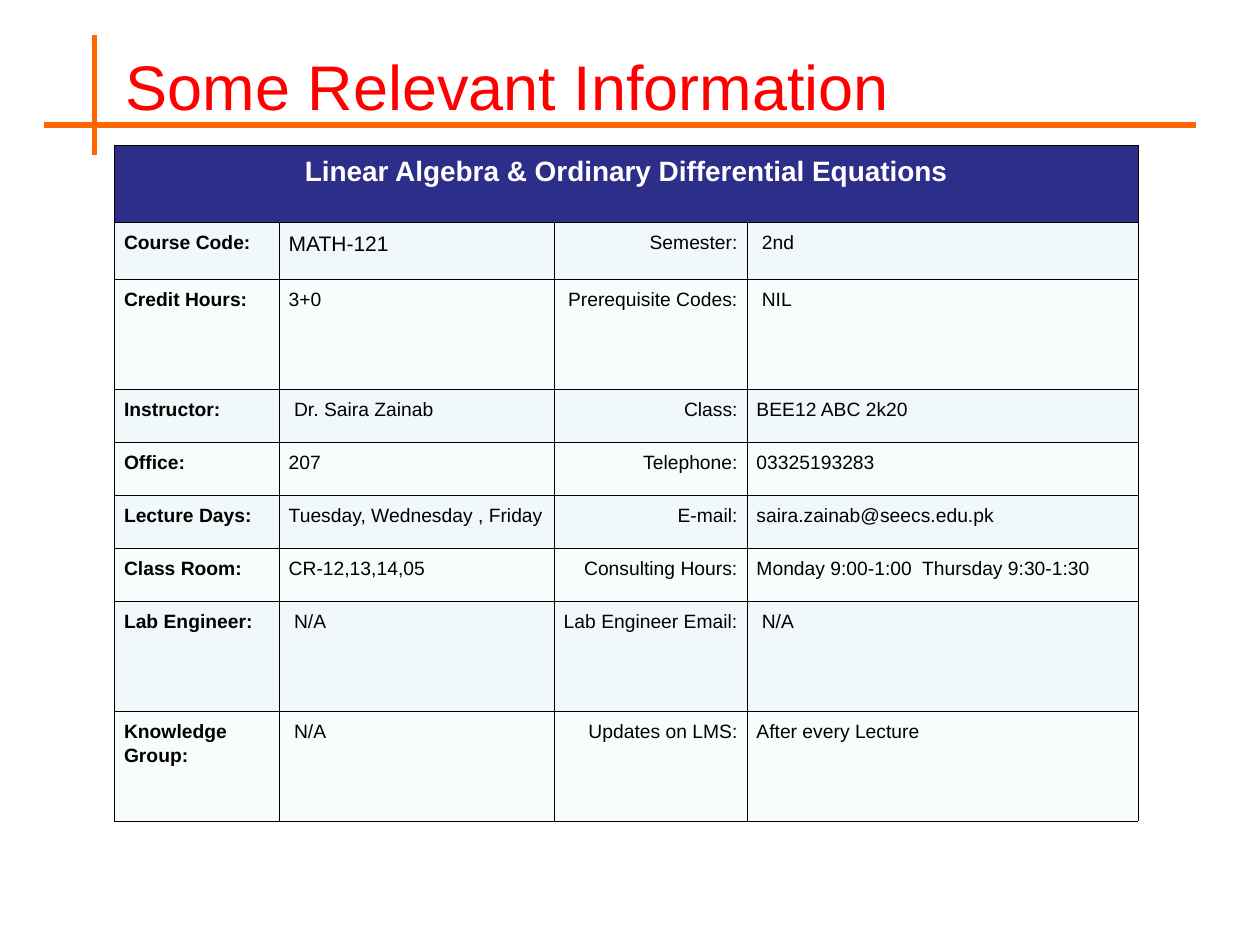
from pptx import Presentation
from pptx.dml.color import RGBColor
from pptx.enum.shapes import MSO_CONNECTOR
from pptx.enum.text import MSO_ANCHOR, PP_ALIGN
from pptx.oxml import parse_xml
from pptx.oxml.ns import nsdecls
from pptx.util import Cm, Pt

STRAIGHT = MSO_CONNECTOR.STRAIGHT
MIDDLE = MSO_ANCHOR.MIDDLE
LEFT, CENTER, RIGHT, JUSTIFY = PP_ALIGN.LEFT, PP_ALIGN.CENTER, PP_ALIGN.RIGHT, PP_ALIGN.JUSTIFY

COURSE = "Linear Algebra & Ordinary Differential Equations"
DETAILS = [
    ("Course Code:", "MATH-121", "Semester:", " 2nd"),
    ("Credit Hours:", "3+0", "Prerequisite Codes:", " NIL"),
    ("Instructor:", " Dr. Saira Zainab", "Class:", "BEE12 ABC 2k20"),
    ("Office:", "207", "Telephone:", "03325193283"),
    ("Lecture Days:", "Tuesday, Wednesday , Friday", "E-mail:", "saira.zainab@seecs.edu.pk"),
    ("Class Room:", "CR-12,13,14,05", "Consulting Hours:", "Monday 9:00-1:00  Thursday 9:30-1:30"),
    ("Lab Engineer:", " N/A", "Lab Engineer Email:", " N/A"),
    ("Knowledge Group:", " N/A", "Updates on LMS:", "After every Lecture"),
]
COL_WIDTHS = [3.32, 5.54, 3.89, 7.88]
ROW_HEIGHTS = [1.55, 1.16, 2.21, 1.07, 1.07, 1.07, 1.07, 2.21, 2.21]
COL_ALIGN = [LEFT, LEFT, RIGHT, LEFT]
BANDS = ["F1F8F9", "F8FCFC"]
CELL_MARGINS = {"margin_left": Cm(0.19), "margin_right": Cm(0.19),
                "margin_top": Cm(0.13), "margin_bottom": Cm(0.13)}


def rgb(value):
    """Return the colour for a hex string."""
    return RGBColor.from_string(value)


def set_attrs(obj, values):
    """Set every attribute named in a dict of format values."""
    for name, value in values.items():
        setattr(obj, name, value)


def write(tf, text, color, para, font):
    """Write one formatted paragraph into a text frame."""
    p = tf.paragraphs[0]
    set_attrs(p, para)
    r = p.add_run()
    r.text = text
    set_attrs(r.font, {"name": "Arial", **font})
    r.font.color.rgb = rgb(color)


def add_rule(s, x1, y1, x2, y2):
    """Draw one orange rule between two points in centimetres."""
    line = s.shapes.add_connector(STRAIGHT, Cm(x1), Cm(y1), Cm(x2), Cm(y2))
    line.line.color.rgb = rgb("FF6600")
    line.line.width = Pt(3)
    line._element.spPr.append(parse_xml(f"<a:effectLst {nsdecls('a')}/>"))


def add_heading(s, x, y, w, h):
    """Place the title and the crossed rules around its lower left corner."""
    sp = s.shapes.add_textbox(Cm(x), Cm(y), Cm(w), Cm(h))
    tf = sp.text_frame
    set_attrs(tf, {"word_wrap": True, "vertical_anchor": MIDDLE})
    write(tf, "Some Relevant Information", "FF0000", {"alignment": LEFT}, {"size": Pt(36)})
    add_rule(s, x - 0.38, y + 0.58, x - 0.38, y + 3)
    add_rule(s, x - 1.4, y + 2.39, x + w + 0.15, y + 2.39)


def format_cell(cell, fill):
    """Give a cell its borders, margins and fill."""
    tcPr = cell._tc.get_or_add_tcPr()
    for side in "LRTB":
        tcPr.append(parse_xml(
            f'<a:ln{side} {nsdecls("a")} w="{int(Pt(0.45))}"><a:solidFill>'
            f'<a:srgbClr val="000000"/></a:solidFill></a:ln{side}>'))
    set_attrs(cell, CELL_MARGINS)
    cell.fill.solid()
    cell.fill.fore_color.rgb = rgb(fill)


def add_details(s, x, y, w, h):
    """Place the course table under a merged header row."""
    table = s.shapes.add_table(len(ROW_HEIGHTS), len(COL_WIDTHS),
                               Cm(x), Cm(y), Cm(w), Cm(h)).table
    for col, width in zip(table.columns, COL_WIDTHS):
        col.width = Cm(width)
    for row, height in zip(table.rows, ROW_HEIGHTS):
        row.height = Cm(height)

    header = table.cell(0, 0)
    header.merge(table.cell(0, len(COL_WIDTHS) - 1))
    for cell in table.rows[0].cells:
        format_cell(cell, "2D2D8A")
    write(header.text_frame, COURSE, "FFFFFF",
          {"alignment": CENTER, "line_spacing": 1.15}, {"size": Pt(16), "bold": True})

    for i, texts in enumerate(DETAILS):
        for j, text in enumerate(texts):
            is_code = (i, j) == (0, 1)
            cell = table.cell(i + 1, j)
            format_cell(cell, BANDS[i % 2])
            write(cell.text_frame, text, "000000",
                  {"alignment": JUSTIFY if is_code else COL_ALIGN[j], "line_spacing": 1.15},
                  {"size": Pt(12 if is_code else 11), "bold": j == 0})


def main():
    """Build and save the slide."""
    prs = Presentation()
    set_attrs(prs, {"slide_width": Cm(25.4), "slide_height": Cm(19.05)})
    s = prs.slides.add_slide(prs.slide_layouts[6])
    add_heading(s, 2.29, 0.13, 21.67, 3.18)
    add_details(s, 2.31, 2.93, sum(COL_WIDTHS), sum(ROW_HEIGHTS))
    prs.save("out.pptx")


if __name__ == "__main__":
    main()
